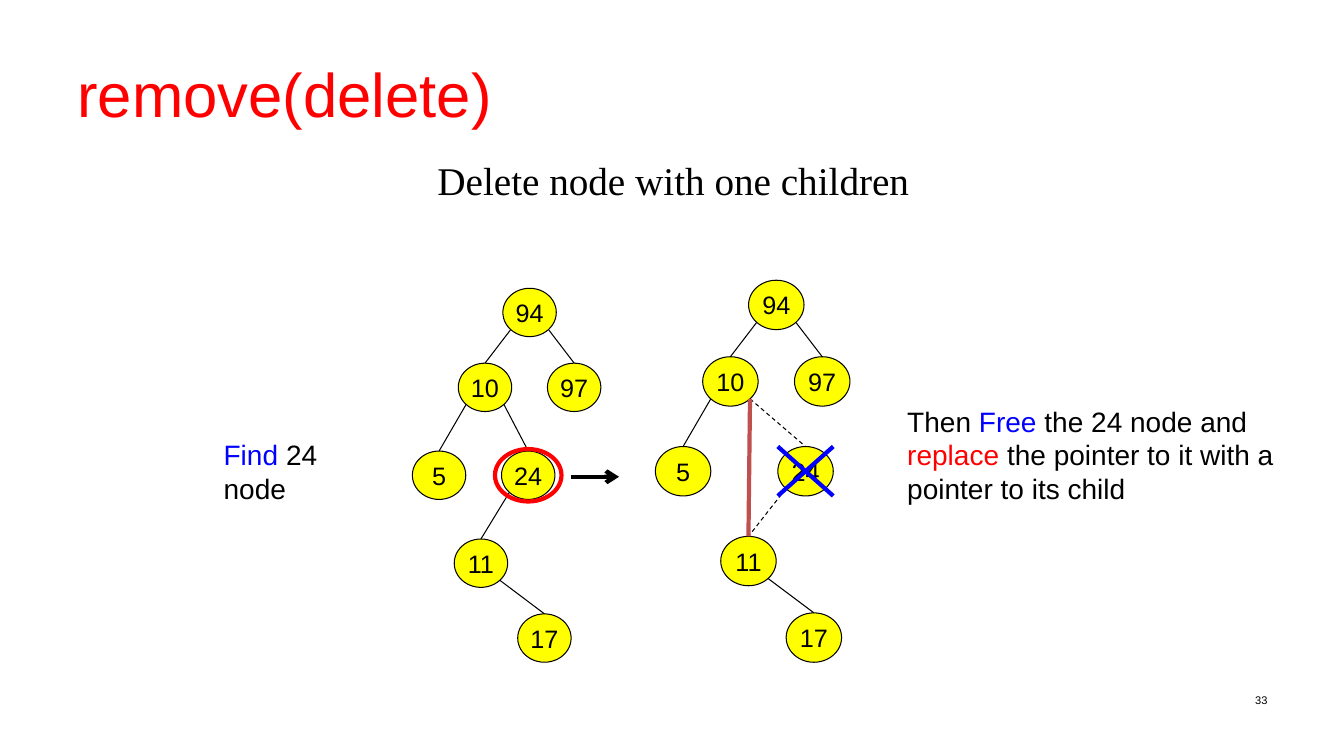
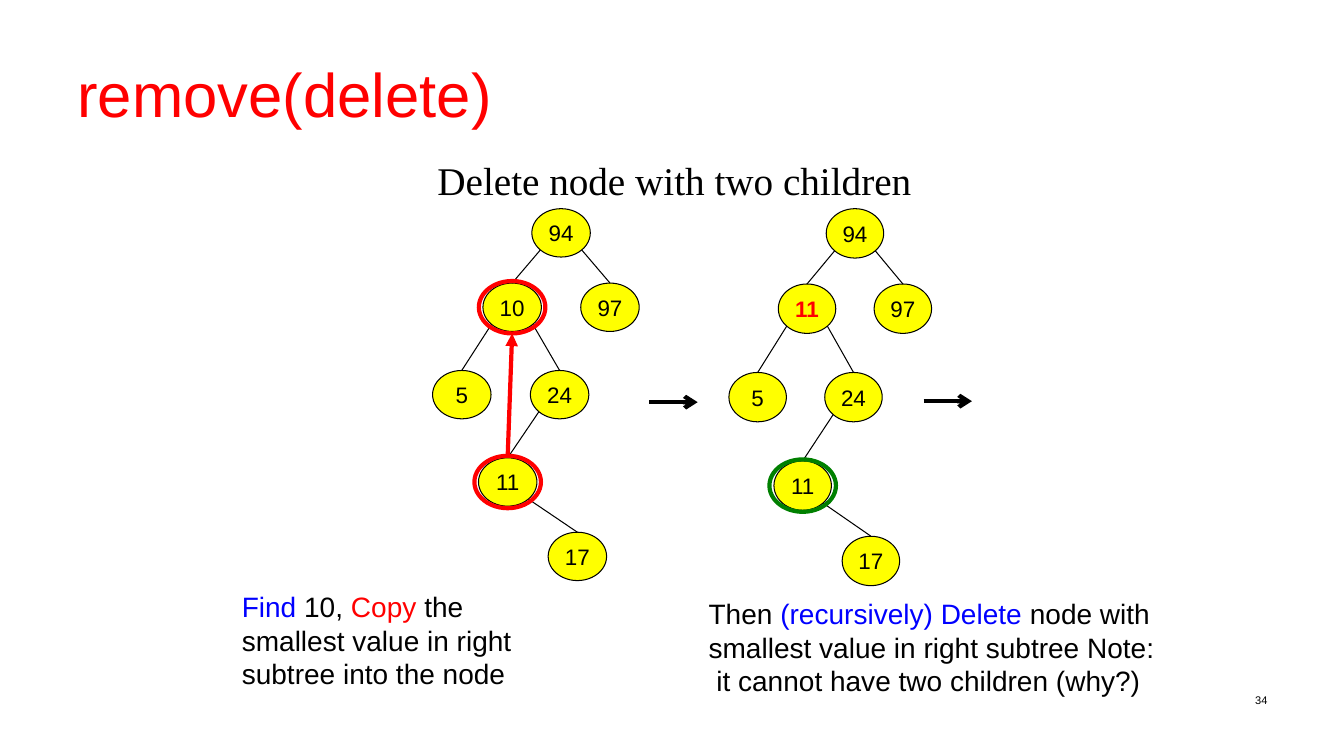
"""Builds two slides on deleting nodes from a binary search tree."""
import dataclasses

import lxml.etree
import pptx
import pptx.dml.color
import pptx.enum.dml
import pptx.enum.shapes
import pptx.enum.text
import pptx.oxml.ns
import pptx.util

Inches = pptx.util.Inches
ALIGN = pptx.enum.text.PP_ALIGN
ANCHOR = pptx.enum.text.MSO_ANCHOR


@dataclasses.dataclass(frozen=True)
class Theme:
    black: str = "000000"
    red: str = "FF0000"
    blue: str = "0000FF"
    green: str = "008000"
    brick: str = "C0504D"
    yellow: str = "FFFF00"
    sans: str = "Arial"
    serif: str = "Times New Roman"
    title: float = 44
    heading: float = 28
    body: float = 20
    footer: float = 7.9
    thin: float = 0.75
    thick: float = 3


T = Theme()
SLIDE_SIZE = (13.33, 7.5)
TITLE_BOX = (0.67, 0.3, 12, 1.25)
HEADING_BOX = (4.24, 1.5, 4.9, 0.57)
NUMBER_BOX = (9.56, 6.83, 3.11, 0.52)
RING_SIZE = (0.66, 0.52)
ARROW_LENGTH = 0.48
DIAGONAL = 0.5 ** 0.5

NODES = {
    "root": ("94", 0.67, 0),
    "left": ("10", 0.34, 0.23),
    "right": ("97", 1, 0.23),
    "leaf": ("5", 0, 0.5),
    "inner": ("24", 0.66, 0.5),
    "low": ("11", 0.31, 0.77),
    "last": ("17", 0.78, 1),
}
EDGES = [("root", "left"), ("root", "right"), ("left", "leaf"),
         ("left", "inner"), ("inner", "low"), ("low", "last")]


def rgb(color):
    return pptx.dml.color.RGBColor.from_string(color)


def apply(obj, values):
    for name, value in values.items():
        setattr(obj, name, value)


def write(tf, runs, size, font=T.sans, align=ALIGN.LEFT, **frame):
    apply(tf, frame)
    p = tf.paragraphs[0]
    p.alignment = align
    for text, color, *bold in runs:
        r = p.add_run()
        r.text = text
        apply(r.font, {"name": font, "size": pptx.util.Pt(size), "bold": bool(bold)})
        r.font.color.rgb = rgb(color)


def add_text(s, box, runs, size, **fmt):
    tf = s.shapes.add_textbox(*map(Inches, box)).text_frame
    write(tf, runs, size, **{"word_wrap": True, **fmt})


def add_oval(s, box, line, width, fill=None):
    sp = s.shapes.add_shape(pptx.enum.shapes.MSO_SHAPE.OVAL, *map(Inches, box))
    sp.shadow.inherit = False
    if fill:
        sp.fill.solid()
        sp.fill.fore_color.rgb = rgb(fill)
    else:
        sp.fill.background()
    sp.line.color.rgb = rgb(line)
    sp.line.width = pptx.util.Pt(width)
    return sp


def add_line(s, start, end, color=T.black, width=T.thin, dashed=False, head=None):
    cx = s.shapes.add_connector(pptx.enum.shapes.MSO_CONNECTOR.STRAIGHT,
                                *map(int, (*start, *end)))
    cx.line.color.rgb = rgb(color)
    cx.line.width = pptx.util.Pt(width)
    if dashed:
        cx.line.dash_style = pptx.enum.dml.MSO_LINE.DASH
    qn = pptx.oxml.ns.qn
    if head:
        lxml.etree.SubElement(cx.line._get_or_add_ln(), qn("a:tailEnd"), type=head)
    lxml.etree.SubElement(cx._element.spPr, qn("a:effectLst"))
    return cx


def center(sp):
    return sp.left + sp.width / 2, sp.top + sp.height / 2


def top(sp):
    return center(sp)[0], sp.top


def add_edge(s, parent, child, **fmt):
    """Join the lower diagonal of a parent on its child's side to the child's top."""
    x, y = center(parent)
    side = 1 if center(child)[0] > x else -1
    start = (x + side * DIAGONAL * parent.width / 2, y + DIAGONAL * parent.height / 2)
    add_line(s, start, top(child), **fmt).end_connect(child, 0)


def add_tree(s, box, node, size, changes=None, dashed=()):
    """Draw the tree within a box and return its nodes by role."""
    x, y, w, h = box
    nw, nh = node
    ovals = {}
    for role, (label, fx, fy) in {**NODES, **(changes or {})}.items():
        at = (x + fx * (w - nw), y + fy * (h - nh), nw, nh)
        sp = ovals[role] = add_oval(s, at, T.black, T.thin, T.yellow)
        run = (label, T.black) if label == NODES[role][0] else (label, T.red, True)
        write(sp.text_frame, [run], size, align=ALIGN.CENTER, word_wrap=False,
              vertical_anchor=ANCHOR.MIDDLE, margin_left=0, margin_right=0,
              margin_top=0, margin_bottom=0)
    for parent, child in EDGES:
        add_edge(s, ovals[parent], ovals[child], dashed=(parent, child) in dashed)
    return ovals


def add_ring(s, node, color):
    w, h = map(Inches, RING_SIZE)
    x, y = center(node)
    ring = add_oval(s, (0, 0, *RING_SIZE), color, T.thick)
    apply(ring, {"left": int(x - w / 2), "top": int(y - h / 2)})
    return ring


def add_cross(s, node):
    left, right = node.left, node.left + node.width
    upper, lower = node.top, node.top + node.height
    for start, end in ((upper, lower), (lower, upper)):
        add_line(s, (left, start), (right, end), T.blue, T.thick)


def add_step_arrow(s, x, y):
    add_line(s, (Inches(x), Inches(y)), (Inches(x + ARROW_LENGTH), Inches(y)),
             width=T.thick, head="arrow")


def add_base(prs, heading, number):
    """Add a blank slide with the shared title, heading and number."""
    s = prs.slides.add_slide(prs.slide_layouts[6])
    add_text(s, TITLE_BOX, [("remove(delete)", T.red)], T.title,
             vertical_anchor=ANCHOR.MIDDLE)
    add_text(s, HEADING_BOX, [(heading, T.black)], T.heading, font=T.serif,
             word_wrap=False)
    add_text(s, NUMBER_BOX, [(str(number), T.black)], T.footer, align=ALIGN.RIGHT)
    return s


def one_child_slide(prs):
    s = add_base(prs, "Delete node with one children", 33)
    add_text(s, (2.12, 4.29, 1.6, 0.75),
             [("Find ", T.blue), ("24 node", T.black)], T.body)
    add_text(s, (8.9, 3.96, 4.3, 1.11),
             [("Then", T.black), (" Free ", T.blue), ("the 24 node and ", T.black),
              ("replace", T.red),
              (" the pointer to it with a pointer to its child", T.black)], T.body)

    before = add_tree(s, (4.09, 2.86, 1.87, 3.71), (0.53, 0.48), 18)
    add_ring(s, before["inner"], T.red)
    add_step_arrow(s, 5.66, 4.73)

    moved = {"inner": ("24", 0.88, 0.5), "low": ("11", 0.47, 0.77),
             "last": ("17", 0.94, 1)}
    after = add_tree(s, (6.5, 2.78, 1.93, 3.79), (0.55, 0.49), 18, moved,
                     dashed=[("left", "inner"), ("inner", "low")])
    add_cross(s, after["inner"])
    add_edge(s, after["left"], after["low"], color=T.brick, width=T.thick)


def two_children_slide(prs):
    s = add_base(prs, "Delete node with two children", 34)
    add_text(s, (2.3, 5.8, 3.2, 1.11),
             [("Find", T.blue), (" 10, ", T.black), ("Copy ", T.red),
              ("the smallest value in right subtree into the node", T.black)], T.body)
    add_text(s, (6.93, 5.87, 4.64, 1.11),
             [("Then", T.black), (" (recursively) Delete ", T.blue),
              ("node with smallest value in right subtree Note:  "
               "it cannot have two children (why?)", T.black)], T.body)

    before = add_tree(s, (4.29, 2.07, 2.05, 3.69), (0.58, 0.48), 16)
    target, source = (add_ring(s, before[role], T.red) for role in ("left", "low"))
    add_line(s, top(source), (center(target)[0], target.top + target.height),
             T.red, T.thick, head="triangle").begin_connect(source, 0)
    add_step_arrow(s, 6.44, 3.99)

    after = add_tree(s, (7.23, 2.07, 2.01, 3.74), (0.57, 0.49), 16,
                     {"left": ("11", 0.34, 0.23)})
    add_ring(s, after["low"], T.green)
    add_step_arrow(s, 9.16, 3.98)


def main():
    prs = pptx.Presentation()
    prs.slide_width, prs.slide_height = map(Inches, SLIDE_SIZE)
    one_child_slide(prs)
    two_children_slide(prs)
    prs.save("out.pptx")


if __name__ == "__main__":
    main()
